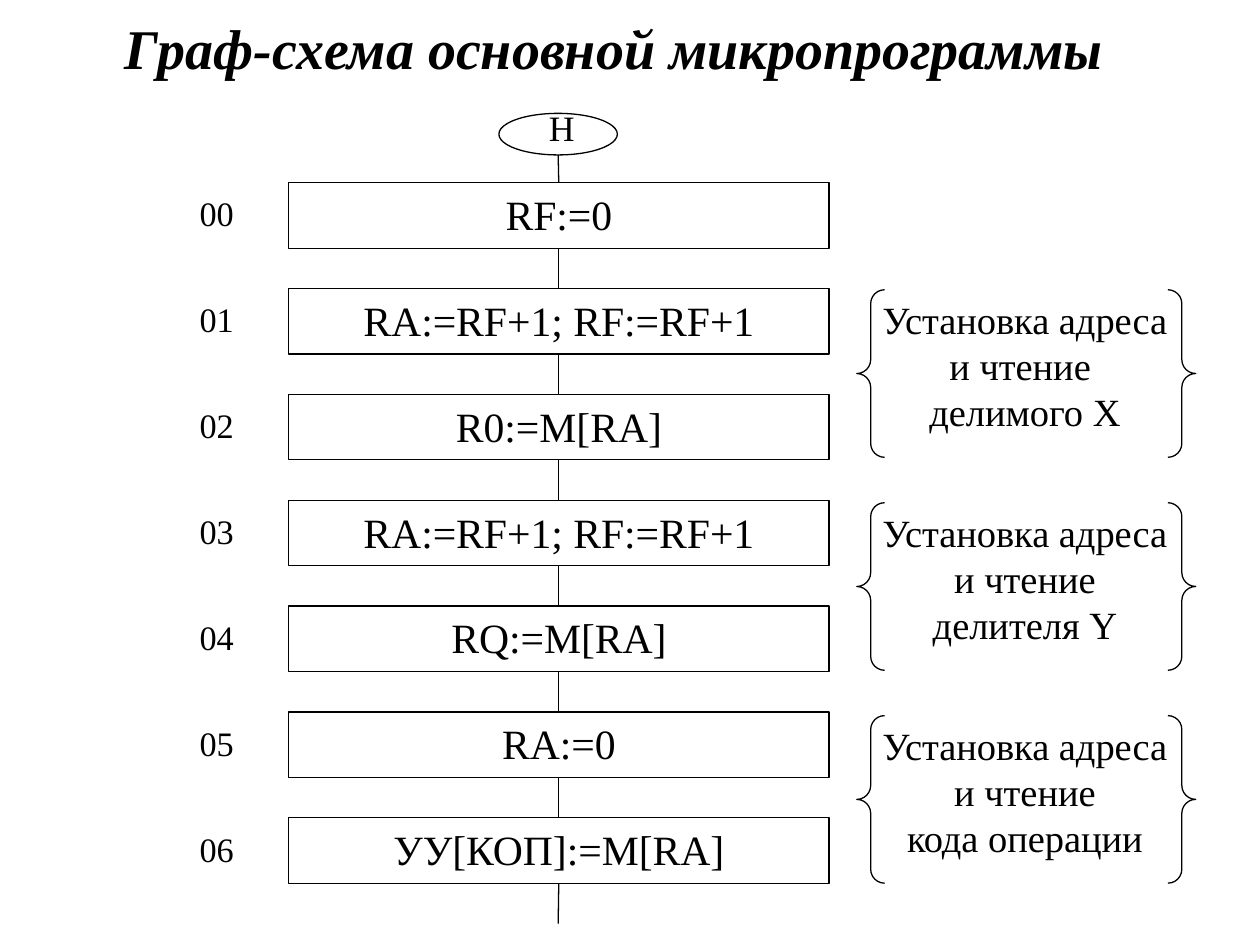
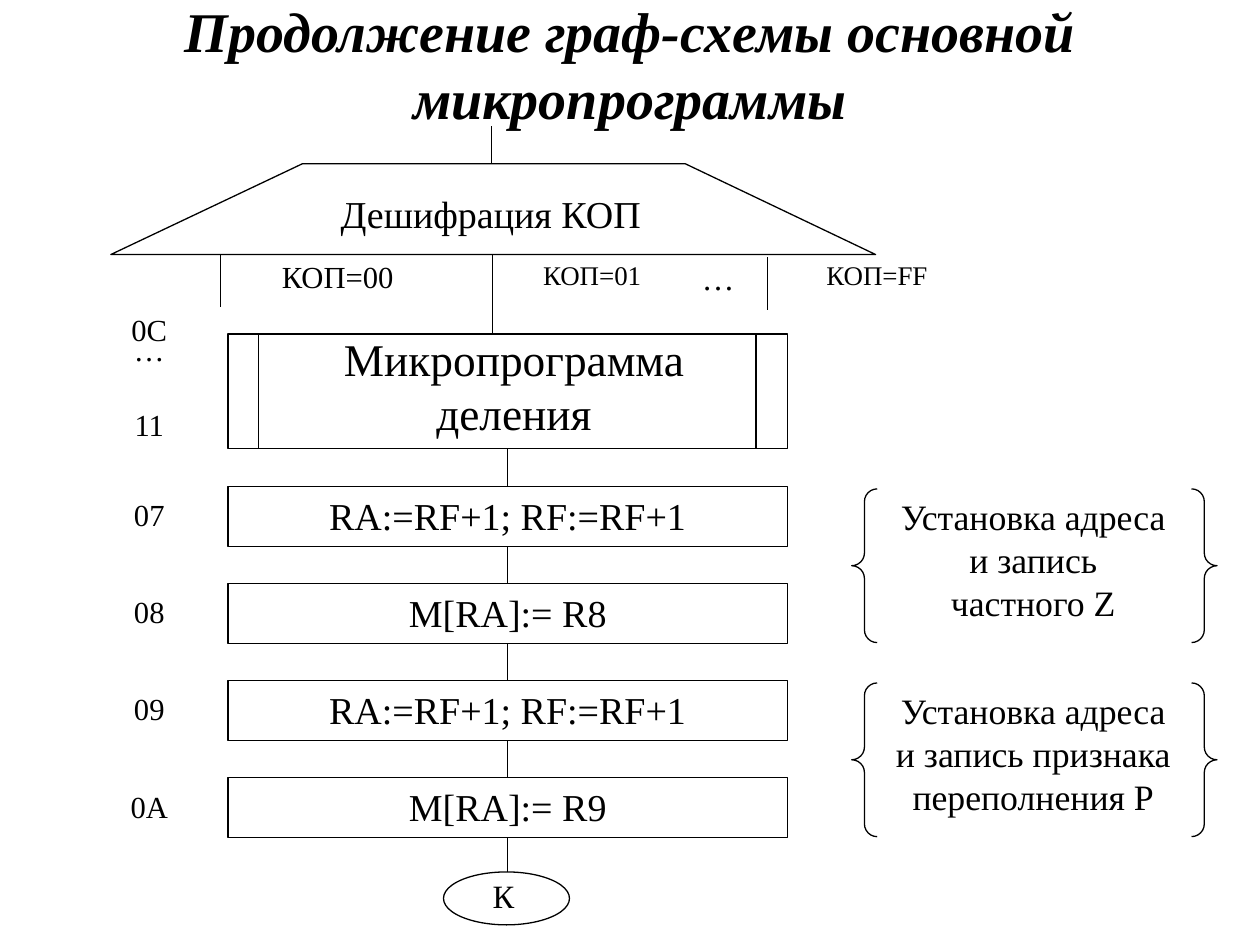
"""Build two slides that chart the main microprogram as a flow of steps."""
import dataclasses
import typing

import lxml.etree
import pptx
import pptx.dml.color
import pptx.enum.shapes
import pptx.enum.text
import pptx.oxml.ns
import pptx.util

Inches = pptx.util.Inches
Kind = pptx.enum.shapes.MSO_SHAPE
Anchor = pptx.enum.text.MSO_ANCHOR


@dataclasses.dataclass(frozen=True)
class Theme:
    ink: pptx.dml.color.RGBColor = pptx.dml.color.RGBColor(0, 0, 0)
    font: str = "Times New Roman"
    rule: float = 0.75
    title: float = 32
    routine: float = 25.9
    opcode: float = 15.4
    dots: float = 18.6


@dataclasses.dataclass(frozen=True)
class Area:
    left: float
    top: float
    width: float
    height: float

    def lengths(self) -> list[int]:
        return [Inches(side) for side in dataclasses.astuple(self)]


@dataclasses.dataclass(frozen=True)
class Step:
    code: str
    text: str


@dataclasses.dataclass(frozen=True)
class Flow:
    first: Area
    pitch: float
    size: float
    code_left: float
    code_width: float
    code_size: float


@dataclasses.dataclass(frozen=True)
class Notes:
    first: Area
    pitch: float
    size: float
    texts: tuple[str, ...]


@dataclasses.dataclass(frozen=True)
class Label:
    text: str
    area: Area
    size: float


THEME = Theme()


def write(shape: typing.Any, text: str, size: float, anchor: Anchor = Anchor.TOP,
          bold: bool = False, before: float = 0) -> None:
    frame = shape.text_frame
    frame.word_wrap = True
    frame.vertical_anchor = anchor
    para = frame.paragraphs[0]
    para.text = text
    para.alignment = pptx.enum.text.PP_ALIGN.CENTER
    para.space_before = pptx.util.Pt(before)
    for run in para.runs:
        run.font.name = THEME.font
        run.font.size = pptx.util.Pt(size)
        run.font.color.rgb = THEME.ink
        run.font.bold = run.font.italic = bold


def add_label(slide: typing.Any, label: Label, **style: typing.Any) -> None:
    write(slide.shapes.add_textbox(*label.area.lengths()), label.text, label.size, **style)


def add_title(slide: typing.Any, text: str, area: Area) -> None:
    add_label(slide, Label(text, area, THEME.title), anchor=Anchor.MIDDLE, bold=True)


def outline(shape: typing.Any) -> None:
    shape.shadow.inherit = False
    shape.fill.background()
    shape.line.color.rgb = THEME.ink
    shape.line.width = pptx.util.Pt(THEME.rule)


def add_form(slide: typing.Any, kind: Kind, area: Area) -> typing.Any:
    shape = slide.shapes.add_shape(kind, *area.lengths())
    outline(shape)
    return shape


def add_line(slide: typing.Any, x: float = 0, top: float = 0, end: float = 0,
             above: typing.Any = None, below: typing.Any = None) -> None:
    line = slide.shapes.add_connector(
        pptx.enum.shapes.MSO_CONNECTOR.STRAIGHT,
        Inches(x), Inches(top), Inches(x), Inches(end))
    if above is not None:
        line.begin_connect(above, 2)
    if below is not None:
        line.end_connect(below, 0)
    line.line.color.rgb = THEME.ink
    line.line.width = pptx.util.Pt(THEME.rule)
    lxml.etree.SubElement(line._element.spPr, pptx.oxml.ns.qn("a:effectLst"))


def add_flow(slide: typing.Any, flow: Flow, steps: list[Step]) -> list[typing.Any]:
    boxes = []
    for row, step in enumerate(steps):
        area = dataclasses.replace(flow.first, top=flow.first.top + row * flow.pitch)
        box = add_form(slide, Kind.RECTANGLE, area)
        write(box, step.text, flow.size)
        place = Area(flow.code_left, area.top + 0.03, flow.code_width, 0.45)
        add_label(slide, Label(step.code, place, flow.code_size))
        if boxes:
            add_line(slide, above=boxes[-1], below=box)
        boxes.append(box)
    return boxes


def add_notes(slide: typing.Any, notes: Notes) -> None:
    for row, text in enumerate(notes.texts):
        area = dataclasses.replace(notes.first, top=notes.first.top + row * notes.pitch)
        brace = add_form(slide, Kind.DOUBLE_BRACE, area)
        brace.adjustments[0] = 0.083
        place = dataclasses.replace(area, left=area.left + 0.02, width=area.width - 0.06)
        add_label(slide, Label(text, place, notes.size), before=6)


def draw_start(slide: typing.Any) -> None:
    add_title(slide, "Граф-схема основной микропрограммы", Area(0, -0.25, 9.75, 1.25))
    add_form(slide, Kind.OVAL, Area(3.96, 0.9, 0.94, 0.33))
    add_label(slide, Label("Н", Area(3.83, 0.79, 1.26, 0.46), 20.4))
    flow = Flow(Area(2.29, 1.45, 4.29, 0.52), 0.84, 23.8, 1.09, 1.26, 19.6)
    boxes = add_flow(slide, flow, [
        Step("00", "RF:=0"),
        Step("01", "RA:=RF+1; RF:=RF+1"),
        Step("02", "R0:=M[RA]"),
        Step("03", "RA:=RF+1; RF:=RF+1"),
        Step("04", "RQ:=M[RA]"),
        Step("05", "RA:=0"),
        Step("06", "УУ[КОП]:=M[RA]"),
    ])
    add_line(slide, 4.43, 1.23, 1.45, below=boxes[0])
    add_line(slide, 4.43, 7.01, 7.33, above=boxes[-1])
    add_notes(slide, Notes(Area(6.8, 2.3, 2.69, 1.33), 1.69, 22, (
        "Установка адреса\nи чтение \nделимого X",
        "Установка адреса\nи чтение\nделителя Y",
        "Установка адреса\nи чтение\nкода операции",
    )))


def draw_switch(slide: typing.Any) -> None:
    pen = slide.shapes.build_freeform(Inches(0.88), Inches(2.02))
    pen.add_line_segments(
        [(Inches(x), Inches(y)) for x, y in ((2.4, 1.3), (5.44, 1.3), (6.95, 2.02))])
    outline(pen.convert_to_shape())
    for x, top, end in ((3.9, 1, 1.3), (1.75, 2.02, 2.44), (3.91, 2.02, 2.65), (6.09, 2.04, 2.46)):
        add_line(slide, x, top, end)
    for label in (
        Label("Дешифрация КОП", Area(2.1, 1.46, 3.59, 0.47), 21.7),
        Label("КОП=00", Area(1.77, 2, 1.82, 0.4), 17.5),
        Label("КОП=01", Area(3.82, 2, 1.76, 0.39), THEME.opcode),
        Label("…", Area(5.31, 2, 0.78, 0.42), THEME.dots),
        Label("КОП=FF", Area(6.08, 2, 1.76, 0.38), THEME.opcode),
    ):
        add_label(slide, label)


def draw_routine(slide: typing.Any, flow: Flow) -> typing.Any:
    box = add_form(slide, Kind.RECTANGLE, Area(1.81, 2.65, 4.44, 0.91))
    for x in (2.05, 6):
        add_line(slide, x, 2.65, 3.56)
    add_label(slide, Label("Микропрограмма деления", Area(2.25, 2.58, 3.66, 1), THEME.routine))
    for text, top in (("0C", 2.42), ("…", 2.58), ("11", 3.17)):
        add_label(slide, Label(text, Area(flow.code_left, top, flow.code_width, 0.42), flow.code_size))
    return box


def draw_end(slide: typing.Any) -> None:
    add_title(slide, "Продолжение граф-схемы основной микропрограммы", Area(0.75, 0.17, 8.5, 0.67))
    draw_switch(slide)
    flow = Flow(Area(1.81, 3.86, 4.44, 0.48), 0.77, 21.7, 0.51, 1.35, 17.5)
    routine = draw_routine(slide, flow)
    boxes = add_flow(slide, flow, [
        Step("07", "RA:=RF+1; RF:=RF+1"),
        Step("08", "M[RA]:= R8"),
        Step("09", "RA:=RF+1; RF:=RF+1"),
        Step("0A", "M[RA]:= R9"),
    ])
    add_line(slide, above=routine, below=boxes[0])
    add_line(slide, 4.03, 6.65, 6.92, above=boxes[-1])
    add_form(slide, Kind.OVAL, Area(3.52, 6.92, 1, 0.42))
    add_label(slide, Label("К", Area(3.32, 6.9, 1.35, 0.42), THEME.dots))
    add_notes(slide, Notes(Area(6.76, 3.88, 2.9, 1.22), 1.54, 20.4, (
        "Установка адреса\nи запись\nчастного Z",
        "Установка адреса\nи запись признака\nпереполнения P",
    )))


def main() -> None:
    deck = pptx.Presentation()
    deck.slide_width, deck.slide_height = Inches(10), Inches(7.5)
    for draw in (draw_start, draw_end):
        draw(deck.slides.add_slide(deck.slide_layouts[6]))
    deck.save("out.pptx")


if __name__ == "__main__":
    main()
